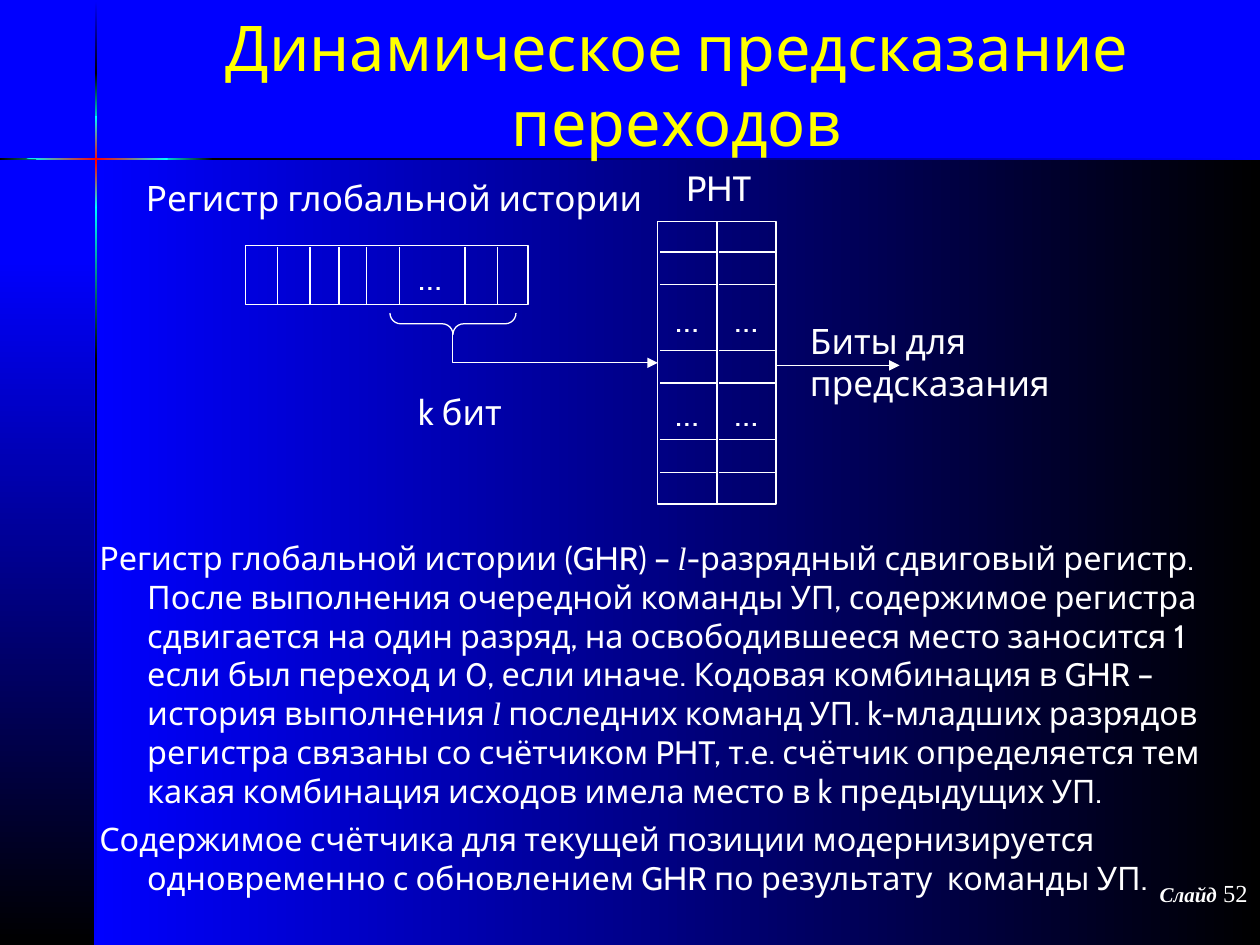
from copy import deepcopy

from lxml import etree
from pptx import Presentation
from pptx.dml.color import RGBColor
from pptx.enum.shapes import MSO_CONNECTOR, MSO_SHAPE
from pptx.enum.text import MSO_ANCHOR, MSO_AUTO_SIZE, PP_ALIGN
from pptx.oxml.ns import qn
from pptx.util import Inches, Pt

RECT, BRACE = MSO_SHAPE.RECTANGLE, MSO_SHAPE.RIGHT_BRACE
STRAIGHT, ELBOW = MSO_CONNECTOR.STRAIGHT, MSO_CONNECTOR.ELBOW
CENTER, RIGHT = PP_ALIGN.CENTER, PP_ALIGN.RIGHT
MIDDLE, TOP = MSO_ANCHOR.MIDDLE, MSO_ANCHOR.TOP
NO_FIT, GROW = MSO_AUTO_SIZE.NONE, MSO_AUTO_SIZE.SHAPE_TO_FIT_TEXT

THEME = {
    "blue": "0000FF", "black": "000000", "cyan": "00FFFF", "red": "FF0000",
    "white": "FFFFFF", "yellow": "FFFF00",
    "sans": "Cabin", "serif": "Times New Roman",
    "title": 36, "label": 20, "body": 18.5, "number": 14, "footer": 12, "line": 0.75,
}

TITLE = "Динамическое предсказание переходов"
BODY = [
    [("Регистр глобальной истории (GHR) – ", False), ("l", True),
     ("-разрядный сдвиговый регистр. После выполнения очередной команды УП, "
      "содержимое регистра сдвигается на один разряд, на освободившееся место "
      "заносится 1 если был переход и 0, если иначе. Кодовая комбинация в GHR – "
      "история выполнения ", False), ("l", True),
     (" последних команд УП. k-младших разрядов регистра связаны со счётчиком PHT, "
      "т.е. счётчик определяется тем какая комбинация исходов имела место в k "
      "предыдущих УП.", False)],
    [("Содержимое счётчика для текущей позиции модернизируется одновременно "
      "с обновлением GHR по результату  команды УП.", False)],
]
LABELS = [
    (["Регистр глобальной истории"], (1.06, 1.35, 4.17, 0.44)),
    (["PHT"], (5.35, 1.27, 0.73, 0.44)),
    (["…"], (3.22, 1.98, 0.42, 0.44)),
    (["k бит"], (3.22, 3.05, 0.9, 0.44)),
    (["Биты для", "предсказания"], (6.33, 2.49, 2.1, 0.77)),
]
ACROSS, DOWN = 0, 270
PANELS = [
    ((0.75, 1.25, 9.25, 6.25), ("blue", "black"), ACROSS),
    ((0, 1.25, 0.75, 6.25), ("blue", "black"), DOWN),
    ((0.75, 0.01, 0.02, 0.58), ("blue", "black"), DOWN),
    ((0.75, 2.82, 0.02, 4.68), ("black", "blue"), DOWN),
    ((0.75, 1.63, 0.02, 1.22), ("cyan", "black"), DOWN),
    ((0.75, 0.58, 0.02, 0.44), ("black", "cyan"), DOWN),
    ((0.75, 0.92, 0.02, 0.73), ("cyan", "red", "cyan"), DOWN),
    ((0, 1.25, 0.61, 0.02), ("black", "cyan"), ACROSS),
    ((1.67, 1.25, 8.33, 0.02), ("black", "blue"), ACROSS),
    ((1.25, 1.25, 0.44, 0.02), ("cyan", "black"), ACROSS),
]
PANELS[1] = ((0, 2.02, 0.75, 5.48), *PANELS[1][1:])
FLARE = [(0.21, 1.26), (0.6, 1.27), (1.33, 1.27), (1.33, 1.25), (0.6, 1.25)]

CELL, LENGTH = 0.47, 2.24
TABLE_LEFT, TABLE_TOP = 5.22, 1.76
TABLE_RULES = [0.24, 0.5, 1.02, 1.28, 1.73, 1.99]
TABLE_GAPS = [0.55, 1.3]
REGISTER_LEFT, REGISTER_TOP = 1.95, 1.95
REGISTER_RULES = [0.25, 0.51, 0.74, 0.96, 1.22, 1.74, 2]


def color(name):
    return RGBColor.from_string(THEME[name])


def shade(shape, stops, angle):
    shape.shadow.inherit = False
    shape.line.fill.background()
    shape.fill.gradient()
    shape.fill.gradient_angle = angle
    stop_list = shape._element.spPr.find(".//" + qn("a:gsLst"))
    for _ in stops[2:]:
        stop_list.append(deepcopy(stop_list[-1]))
    for i, (stop, name) in enumerate(zip(shape.fill.gradient_stops, stops)):
        stop.position = i / (len(stops) - 1)
        stop.color.rgb = color(name)


def stroke(part):
    part.line.color.rgb = color("white")
    part.line.width = Pt(THEME["line"])


def outline(kind, box):
    shape = slide.shapes.add_shape(kind, *map(Inches, box))
    shape.shadow.inherit = False
    shape.fill.background()
    stroke(shape)
    return shape


def connect(x1, y1, x2, y2, kind=STRAIGHT, arrow=False):
    connector = slide.shapes.add_connector(kind, *map(Inches, (x1, y1, x2, y2)))
    stroke(connector)
    if arrow:
        etree.SubElement(connector.line._get_or_add_ln(), qn("a:tailEnd"), type="triangle")
    etree.SubElement(connector._element.spPr, qn("a:effectLst"))
    return connector


def write(paragraph, text, size, font="sans", ink="white", **style):
    run = paragraph.add_run()
    run.text = text
    values = {"name": THEME[font], "size": Pt(THEME[size]), **style}
    for key, value in values.items():
        setattr(run.font, key, value)
    run.font.color.rgb = color(ink)


def text_area(box, **format_values):
    frame = slide.shapes.add_textbox(*map(Inches, box)).text_frame
    for key, value in format_values.items():
        setattr(frame, key, value)
    return frame


def paragraphs(frame, items):
    for i, item in enumerate(items):
        yield (frame.add_paragraph() if i else frame.paragraphs[0]), item


def label(lines, box):
    frame = text_area(box, word_wrap=False, auto_size=GROW)
    for paragraph, line in paragraphs(frame, lines):
        write(paragraph, line, "label")


prs = Presentation()
prs.slide_width, prs.slide_height = Inches(10), Inches(7.5)
slide = prs.slides.add_slide(prs.slide_layouts[5])
slide.background.fill.solid()
slide.background.fill.fore_color.rgb = color("blue")

for box, stops, angle in PANELS:
    shade(slide.shapes.add_shape(RECT, *map(Inches, box)), stops, angle)
flare_points = [(Inches(x), Inches(y)) for x, y in FLARE]
flare = slide.shapes.build_freeform(*flare_points[0])
flare.add_line_segments(flare_points[1:])
shade(flare.convert_to_shape(), ("cyan", "red", "cyan"), ACROSS)

title = slide.shapes.title
slide.shapes._spTree.append(title._element)
for side, value in zip(("left", "top", "width", "height"), (0.75, 0.08, 9.25, 1.17)):
    setattr(title, side, Inches(value))
for key, value in {"vertical_anchor": MIDDLE, "word_wrap": True, "auto_size": NO_FIT}.items():
    setattr(title.text_frame, key, value)
heading = title.text_frame.paragraphs[0]
heading.alignment = CENTER
write(heading, TITLE, "title", ink="yellow")

footer = text_area((7.92, 6.92, 2.08, 0.5), word_wrap=True).paragraphs[0]
footer.alignment = RIGHT
write(footer, "Слайд", "footer", "serif", bold=True, italic=True)
write(footer, " 52", "number", "serif")

body = text_area((0.69, 4.22, 9.25, 3.26), word_wrap=True, vertical_anchor=TOP)
for paragraph, runs in paragraphs(body, BODY):
    paragraph.space_before = Pt(5)
    properties = paragraph._p.get_or_add_pPr()
    properties.set("marL", str(Inches(0.38)))
    properties.set("indent", str(Inches(-0.38)))
    for text, is_variable in runs:
        write(paragraph, text, "body", "serif" if is_variable else "sans", italic=is_variable)

for column in range(2):
    left = TABLE_LEFT + column * CELL
    outline(RECT, (left, TABLE_TOP, CELL, LENGTH))
    for offset in TABLE_RULES:
        y = TABLE_TOP + offset
        connect(left + 0.02, y, left + 0.48, y)
    for offset in TABLE_GAPS:
        label(["…"], (left + 0.04, TABLE_TOP + offset, 0.42, 0.44))

outline(RECT, (REGISTER_LEFT, REGISTER_TOP, LENGTH, CELL))
for offset in REGISTER_RULES:
    x = REGISTER_LEFT + offset
    connect(x, REGISTER_TOP + 0.01, x, REGISTER_TOP + CELL)

for lines, box in LABELS:
    label(lines, box)

brace = outline(BRACE, (3.51, 2.07, 0.17, 1))
brace.rotation = 90
brace.adjustments[0] = 0.5

index_arrow = connect(4.52, 1.95, 4.29, 3.58, ELBOW, arrow=True)
index_arrow._element.spPr.find(qn("a:xfrm")).set("rot", str(270 * 60000))
index_arrow._element.spPr.find(qn("a:prstGeom")).set("prst", "bentConnector2")
connect(6.17, 2.9, 7.14, 2.9, arrow=True)

prs.save("out.pptx")
